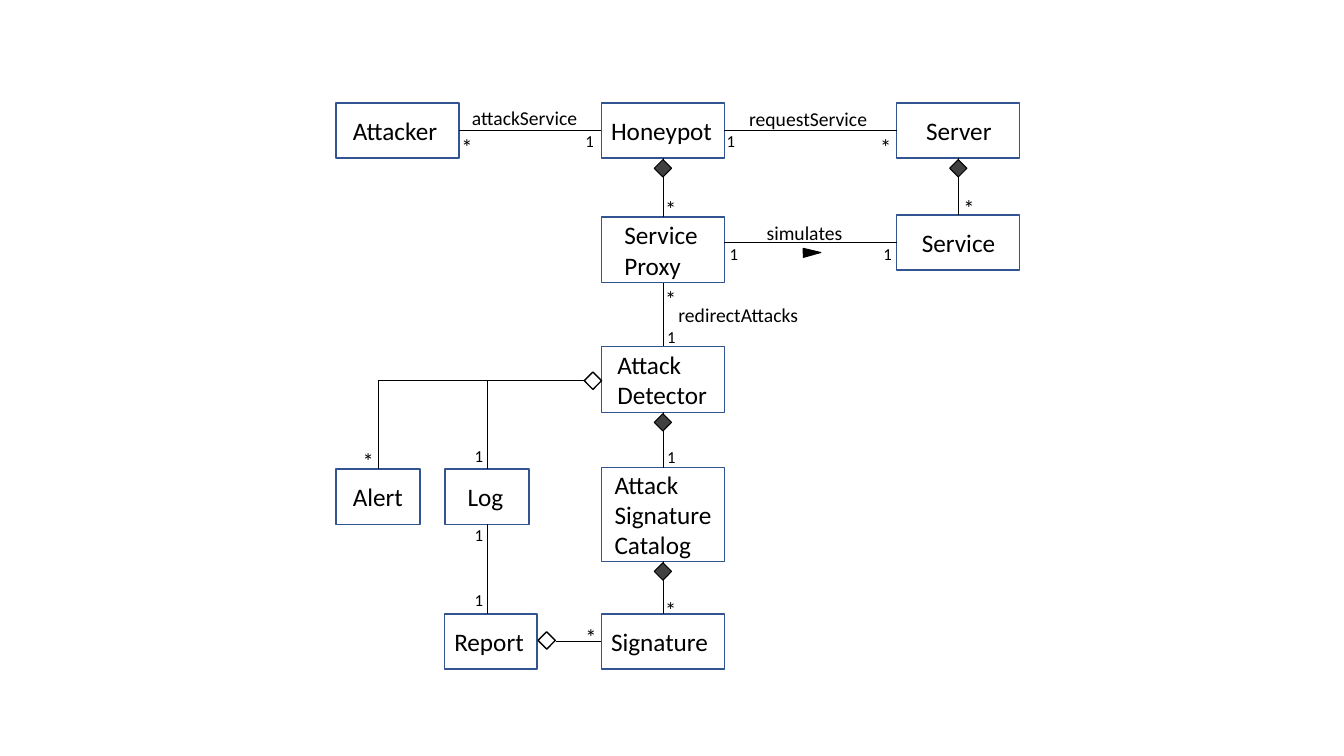
from lxml.etree import SubElement
from pptx import Presentation
from pptx.dml.color import RGBColor
from pptx.enum.shapes import MSO_CONNECTOR, MSO_SHAPE
from pptx.enum.text import MSO_ANCHOR, PP_ALIGN
from pptx.oxml.ns import qn
from pptx.util import Pt

BLACK = RGBColor(0x00, 0x00, 0x00)
GRAY = RGBColor(0x40, 0x40, 0x40)
BLUE = RGBColor(0x32, 0x54, 0x91)
FONT = "Calibri"
TOP, LEFT, BOTTOM, RIGHT = range(4)

# Classes: name -> left, top, width, height, text indent
CLASSES = {
    "Attacker": (240, 73.5, 88, 39.5, 12),
    "Honeypot": (429.5, 73.5, 88, 39.5, 7),
    "Server": (640.5, 73.5, 88, 39.5, 21),
    "Service\nProxy": (429.5, 155, 88, 47, 16.5),
    "Service": (640.5, 153.5, 88, 39.5, 18),
    "Attack\nDetector": (429.5, 247.5, 88, 47, 11.5),
    "Attack\nSignature\nCatalog": (429.5, 334, 88, 67, 9.5),
    "Signature": (429.5, 438.5, 88, 39.5, 7),
    "Alert": (240, 335, 60, 39.5, 12),
    "Log": (318, 335, 60, 39.5, 16),
    "Report": (317.5, 438.5, 66, 39.5, 7),
}

# Relations: each end is a point or a (class, side) pair
RELATIONS = [
    (("Attacker", RIGHT), ("Honeypot", LEFT)),
    (("Honeypot", RIGHT), ("Server", LEFT)),
    (("Honeypot", BOTTOM), ("Service\nProxy", TOP)),
    (("Server", BOTTOM), ("Service", TOP)),
    ((517.5, 173.25), ("Service", LEFT)),
    (("Service\nProxy", BOTTOM), ("Attack\nDetector", TOP)),
    (("Attack\nDetector", BOTTOM), ("Attack\nSignature\nCatalog", TOP)),
    (("Attack\nSignature\nCatalog", BOTTOM), ("Signature", TOP)),
    ((270, 272), (417, 272)),
    ((270, 272), ("Alert", TOP)),
    ((348, 272), ("Log", TOP)),
    (("Log", BOTTOM), (348, 438.5)),
    ((397, 458.25), ("Signature", LEFT)),
]

# Diamonds: owners of compositions, centres of aggregations
COMPOSITIONS = ["Honeypot", "Server", "Attack\nDetector",
                "Attack\nSignature\nCatalog"]
AGGREGATIONS = [(423.5, 272), (390.5, 457.5)]
DIAMOND_SIDE, DIAMOND_DROP = 8.8, 7.25

# Multiplicities: mark -> size, width, height, places
MARKS = {
    "*": (16, 22.3, 26.6, [(322.5, 91.5), (621.5, 91.5), (468, 136),
                           (681, 135.5), (468, 200), (252, 316),
                           (468, 422), (411, 441.5)]),
    "1": (12, 20.9, 21.8, [(411, 89.5), (512, 90), (514, 170.5),
                           (624, 170.5), (469.5, 229.5), (469.5, 315.5),
                           (332, 314.5), (332, 371.5), (332, 417.5)]),
}

# Association names: text, left, top, width
NAMES = [
    ("attackService", 330, 72, 108),
    ("requestService", 528, 72.5, 108),
    ("simulates", 540.5, 154, 72),
    ("redirectAttacks", 477.5, 213, 129),
]

prs = Presentation()
prs.slide_width, prs.slide_height = Pt(960), Pt(540)
s = prs.slides.add_slide(prs.slide_layouts[6])


def write(sp, text, size=18, wrap=True, anchor=MSO_ANCHOR.TOP, indent=7.2):
    tf = sp.text_frame
    tf.word_wrap = wrap
    tf.vertical_anchor = anchor
    tf.margin_left = Pt(indent)
    for i, line in enumerate(text.split("\n")):
        p = tf.add_paragraph() if i else tf.paragraphs[0]
        p.alignment = PP_ALIGN.LEFT
        r = p.add_run()
        r.text = line
        r.font.size, r.font.name = Pt(size), FONT
        r.font.color.rgb = BLACK


def draw(kind, x, y, w, h, line=BLACK, weight=0.75, fill=None, turn=0):
    sp = s.shapes.add_shape(kind, Pt(x), Pt(y), Pt(w), Pt(h))
    sp.shadow.inherit = False
    sp.rotation = turn
    sp.line.color.rgb, sp.line.width = line, Pt(weight)
    if fill is None:
        sp.fill.background()
    else:
        sp.fill.solid()
        sp.fill.fore_color.rgb = fill
    return sp


def diamond(cx, cy, **style):
    draw(MSO_SHAPE.RECTANGLE, cx - DIAMOND_SIDE / 2, cy - DIAMOND_SIDE / 2,
         DIAMOND_SIDE, DIAMOND_SIDE, turn=45, **style)


def label(text, x, y, w, h, **style):
    write(s.shapes.add_textbox(Pt(x), Pt(y), Pt(w), Pt(h)), text, **style)


# Class boxes
boxes = {}
for name, (x, y, w, h, indent) in CLASSES.items():
    boxes[name] = draw(MSO_SHAPE.RECTANGLE, x, y, w, h, line=BLUE, weight=1)
    boxes[name].text_frame.margin_right = 0
    write(boxes[name], name, anchor=MSO_ANCHOR.MIDDLE, indent=indent)

# Relation lines
for start, end in RELATIONS:
    (x1, y1), (x2, y2) = [(0, 0) if e[0] in boxes else e for e in (start, end)]
    c = s.shapes.add_connector(MSO_CONNECTOR.STRAIGHT,
                               Pt(x1), Pt(y1), Pt(x2), Pt(y2))
    if start[0] in boxes:
        c.begin_connect(boxes[start[0]], start[1])
    if end[0] in boxes:
        c.end_connect(boxes[end[0]], end[1])
    c.line.color.rgb, c.line.width = BLACK, Pt(0.5)
    SubElement(c._element.spPr, qn("a:effectLst"))

# Diamonds and reading direction
for name in COMPOSITIONS:
    x, y, w, h, _ = CLASSES[name]
    diamond(x + w / 2, y + h + DIAMOND_DROP, fill=GRAY)
for cx, cy in AGGREGATIONS:
    diamond(cx, cy, weight=1)
draw(MSO_SHAPE.ISOSCELES_TRIANGLE, 576.75, 174.25, 6.5, 12.5,
     fill=BLACK, turn=89)

# Multiplicities and association names
for mark, (size, w, h, places) in MARKS.items():
    for x, y in places:
        label(mark, x, y, w, h, size=size, wrap=False)
for name, x, y, w in NAMES:
    label(name, x, y, w, 24.5, size=14)

prs.save("out.pptx")
